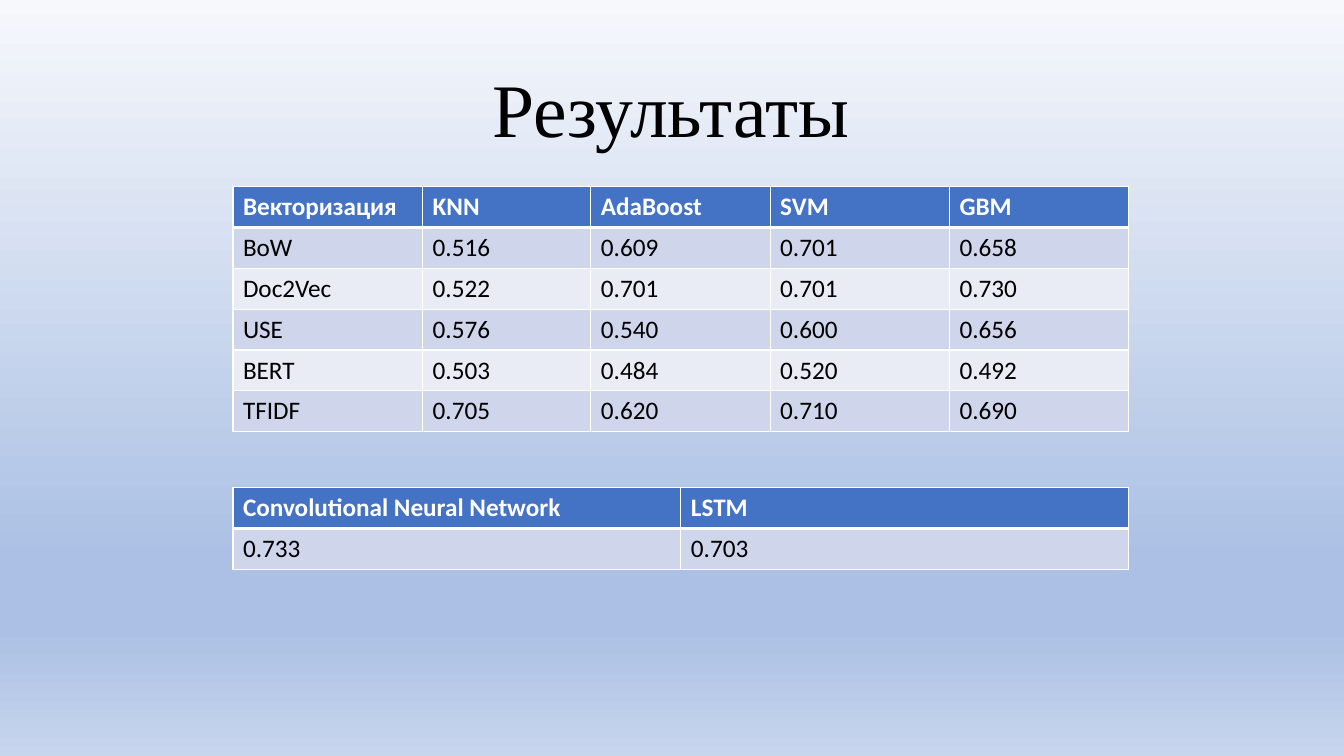
from lxml import etree
from pptx import Presentation
from pptx.dml.color import RGBColor
from pptx.enum.text import MSO_ANCHOR, PP_ALIGN
from pptx.oxml.ns import qn
from pptx.util import Cm, Pt

CENTER = PP_ALIGN.CENTER
LEFT = PP_ALIGN.LEFT
MIDDLE = MSO_ANCHOR.MIDDLE

BLACK = RGBColor(0x00, 0x00, 0x00)
WHITE = RGBColor(0xFF, 0xFF, 0xFF)
HEADER_BLUE = RGBColor(0x44, 0x72, 0xC4)
BANDS = (RGBColor(0xCF, 0xD5, 0xEA), RGBColor(0xE9, 0xEB, 0xF5))
SKY_PALE = RGBColor(0xF6, 0xF8, 0xFC)
SKY_BLUE = RGBColor(0xAB, 0xC0, 0xE4)
SKY_LIGHT = RGBColor(0xC7, 0xD5, 0xED)
SKY = ((0, SKY_PALE), (74, SKY_BLUE), (83, SKY_BLUE), (100, SKY_LIGHT))

TABLE_LEFT = 5.87
ROW_HEIGHT = 1.03

SCORES = [
    ("Векторизация", "KNN", "AdaBoost", "SVM", "GBM"),
    ("BoW", "0.516", "0.609", "0.701", "0.658"),
    ("Doc2Vec", "0.522", "0.701", "0.701", "0.730"),
    ("USE", "0.576", "0.540", "0.600", "0.656"),
    ("BERT", "0.503", "0.484", "0.520", "0.492"),
    ("TFIDF", "0.705", "0.620", "0.710", "0.690"),
]
NETWORKS = [("Convolutional Neural Network", "LSTM"), ("0.733", "0.703")]


def write(frame, text, font="Calibri", size=18, color=BLACK, bold=False,
          align=LEFT, spacing=1.0):
    paragraph = frame.paragraphs[0]
    paragraph.alignment = align
    paragraph.line_spacing = spacing
    run = paragraph.add_run()
    run.text = text
    run.font.name = font
    run.font.size = Pt(size)
    run.font.bold = bold
    run.font.color.rgb = color


def add_color(parent, color):
    etree.SubElement(parent, qn("a:srgbClr"), val=str(color))


class ResultsSlide:
    def __init__(self, slide, border=WHITE):
        self.slide = slide
        self.border = border

    def background(self, stops):
        fill = self.slide.background.fill
        fill.gradient()
        fill.gradient_angle = 270
        stop_list = self.slide.element.find(".//" + qn("a:gsLst"))
        for stop in list(stop_list):
            stop_list.remove(stop)
        for percent, color in stops:
            add_color(etree.SubElement(stop_list, qn("a:gs"), pos=str(percent * 1000)), color)

    def title(self, text, left, top, width, height):
        box = self.slide.shapes.add_textbox(Cm(left), Cm(top), Cm(width), Cm(height))
        box.text_frame.word_wrap = True
        box.text_frame.vertical_anchor = MIDDLE
        write(box.text_frame, text, font="Times New Roman", size=54,
              align=CENTER, spacing=0.9)

    def cell_borders(self, cell, row):
        properties = cell._tc.get_or_add_tcPr()
        widths = {"L": 1, "R": 1, "T": 3 if row == 1 else 1, "B": 3 if row == 0 else 1}
        for side, width in widths.items():
            line = etree.SubElement(properties, qn("a:ln" + side), w=str(Pt(width)))
            add_color(etree.SubElement(line, qn("a:solidFill")), self.border)

    def table(self, rows, top, widths):
        table = self.slide.shapes.add_table(
            len(rows), len(widths), Cm(TABLE_LEFT), Cm(top),
            Cm(sum(widths)), Cm(ROW_HEIGHT * len(rows))).table
        for column, width in zip(table.columns, widths):
            column.width = Cm(width)
        for r, values in enumerate(rows):
            header = r == 0
            for c, value in enumerate(values):
                cell = table.cell(r, c)
                self.cell_borders(cell, r)
                cell.fill.solid()
                cell.fill.fore_color.rgb = HEADER_BLUE if header else BANDS[(r - 1) % 2]
                write(cell.text_frame, value, bold=header, color=WHITE if header else BLACK)


def main():
    deck = Presentation()
    deck.slide_width = Cm(33.87)
    deck.slide_height = Cm(19.05)
    results = ResultsSlide(deck.slides.add_slide(deck.slide_layouts[6]))
    results.background(SKY)
    results.title("Результаты", 1.47, 1.02, 30.86, 3.68)
    results.table(SCORES, 4.7, [4.78, 4.24] + [4.52] * 3)
    results.table(NETWORKS, 12.29, [11.29] * 2)
    deck.save("out.pptx")


if __name__ == "__main__":
    main()
